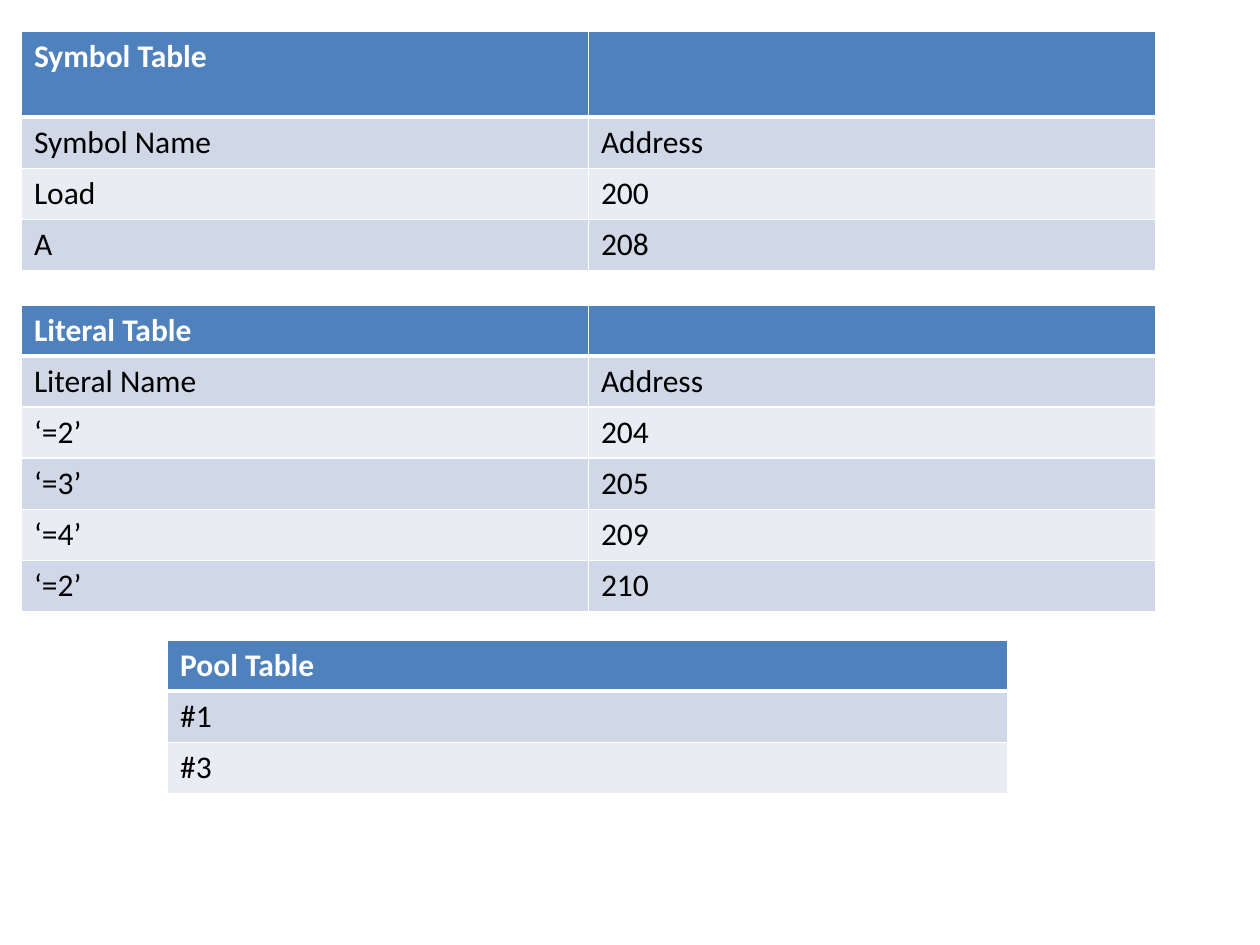
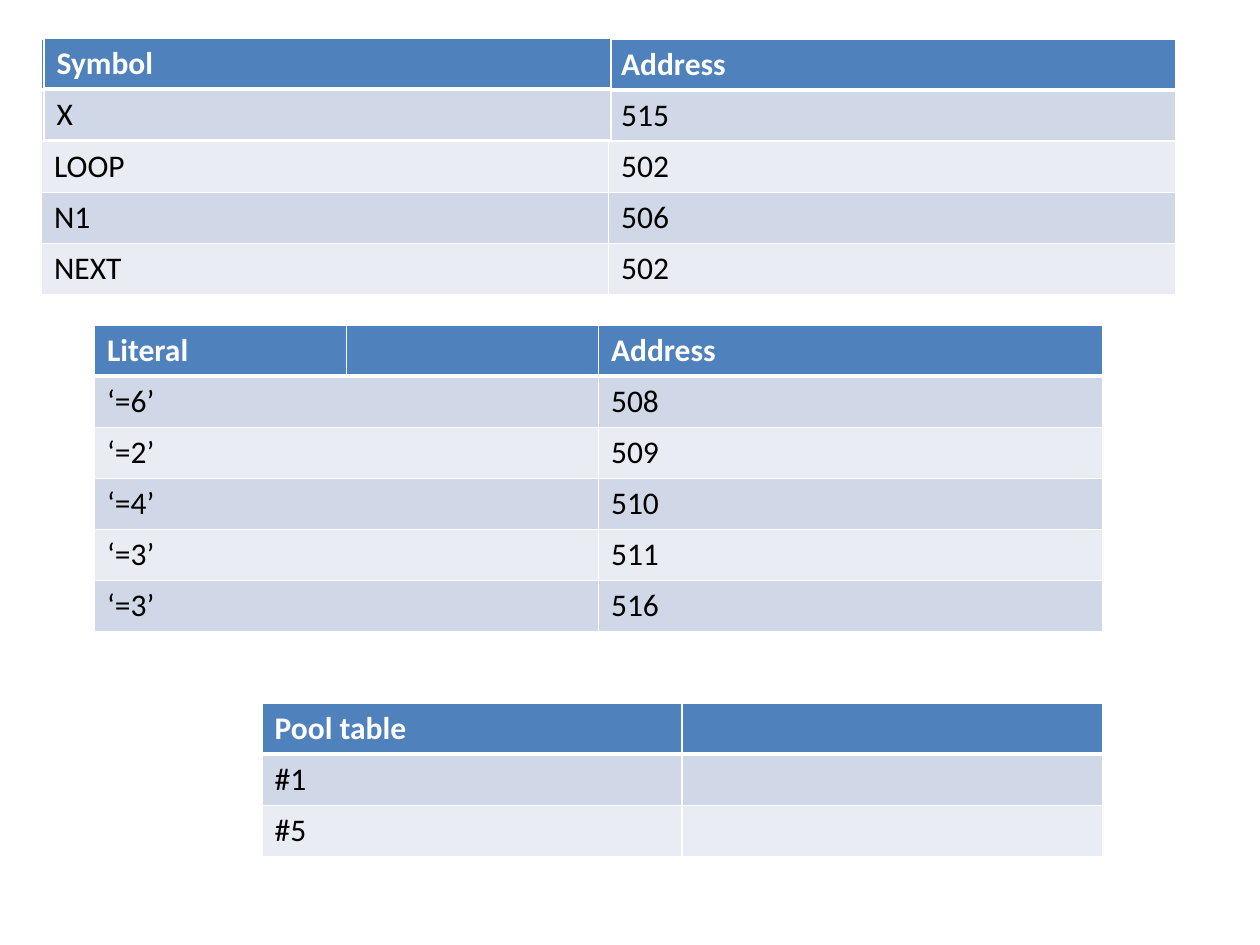
from lxml.etree import SubElement
from pptx import Presentation
from pptx.dml.color import RGBColor
from pptx.oxml.ns import qn
from pptx.util import Inches, Pt

FONT = "Calibri"
WHITE = "FFFFFF"
BLACK = "000000"
HEADER_FILL = "4F81BD"
BAND_FILLS = ("D0D8E7", "E9ECF3")
ROW_HEIGHT = Inches(0.81) // 2
THIN, THICK = Pt(0.96), Pt(3)


def color(value):
    return RGBColor.from_string(value)


def add_borders(cell, bottom_width):
    properties = cell._tc.get_or_add_tcPr()
    widths = {"lnL": THIN, "lnR": THIN, "lnT": THIN, "lnB": bottom_width}
    for side, width in widths.items():
        line = SubElement(properties, qn(f"a:{side}"), w=str(width))
        fill = SubElement(line, qn("a:solidFill"))
        SubElement(fill, qn("a:srgbClr"), val=WHITE)


def style_cell(cell, text, row_index):
    is_header = row_index == 0
    add_borders(cell, THICK if is_header else THIN)
    cell.fill.solid()
    fill = HEADER_FILL if is_header else BAND_FILLS[(row_index - 1) % 2]
    cell.fill.fore_color.rgb = color(fill)
    cell.text = text
    font = cell.text_frame.paragraphs[0].font
    font.name = FONT
    font.size = Pt(18)
    font.bold = is_header
    font.color.rgb = color(WHITE if is_header else BLACK)


def add_banded_table(slide, left, top, width, rows):
    frame = slide.shapes.add_table(
        len(rows), len(rows[0]), Inches(left), Inches(top),
        Inches(width), ROW_HEIGHT * len(rows))
    table = frame.table
    for row_index, texts in enumerate(rows):
        for column_index, text in enumerate(texts):
            style_cell(table.cell(row_index, column_index), text, row_index)
    return table


def build_first_program(slide):
    symbol_table = add_banded_table(slide, 0.17, 0.25, 9, [
        ("Symbol Table", ""),
        ("Symbol Name", "Address"),
        ("Load", "200"),
        ("A", "208"),
    ])
    symbol_table.rows[0].height = Inches(0.68)
    add_banded_table(slide, 0.17, 2.42, 9, [
        ("Literal Table", ""),
        ("Literal Name", "Address"),
        ("‘=2’", "204"),
        ("‘=3’", "205"),
        ("‘=4’", "209"),
        ("‘=2’", "210"),
    ])
    add_banded_table(slide, 1.33, 5.08, 6.67, [("Pool Table",), ("#1",), ("#3",)])


def build_second_program(slide):
    add_banded_table(slide, 0.33, 0.31, 9, [
        ("", "Address"),
        ("", "515"),
        ("LOOP", "502"),
        ("N1", "506"),
        ("NEXT", "502"),
    ])
    add_banded_table(slide, 0.35, 0.3, 4.5, [("Symbol",), ("X",)])
    literal_rows = [
        ("Literal", "", "Address"),
        ("‘=6’", "", "508"),
        ("‘=2’", "", "509"),
        ("‘=4’", "", "510"),
        ("‘=3’", "", "511"),
        ("‘=3’", "", "516"),
    ]
    literal_table = add_banded_table(slide, 0.75, 2.58, 8, literal_rows)
    for column, width in zip(literal_table.columns, (2, 2, 4)):
        column.width = Inches(width)
    for row_index in range(1, len(literal_rows)):
        literal_table.cell(row_index, 0).merge(literal_table.cell(row_index, 1))
    add_banded_table(slide, 2.08, 5.58, 6.67, [
        ("Pool table", ""),
        ("#1", ""),
        ("#5", ""),
    ])


def main():
    presentation = Presentation()
    presentation.slide_width = Inches(10)
    presentation.slide_height = Inches(7.5)
    blank_layout = presentation.slide_layouts[6]
    for build in (build_first_program, build_second_program):
        build(presentation.slides.add_slide(blank_layout))
    presentation.save("out.pptx")


if __name__ == "__main__":
    main()
